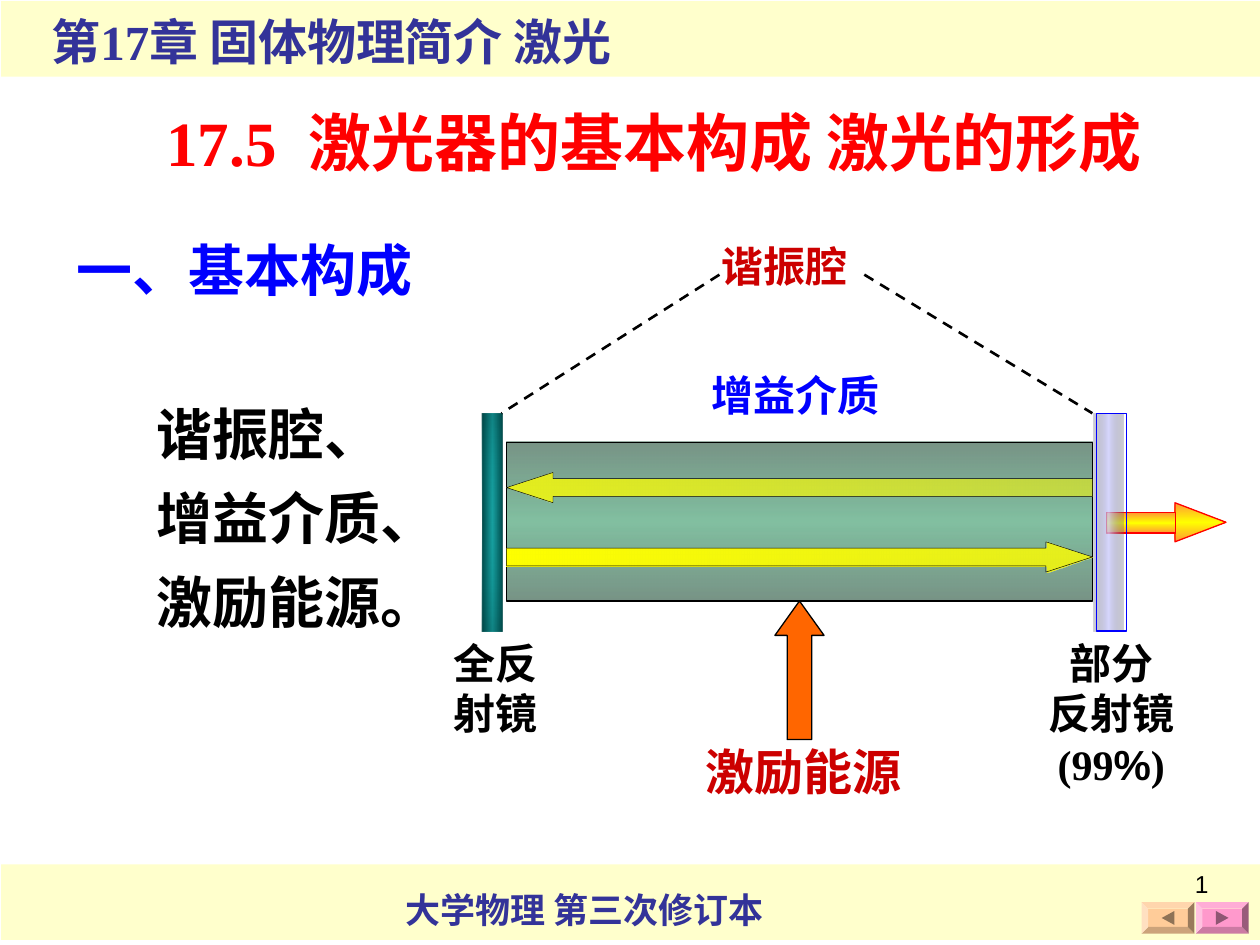
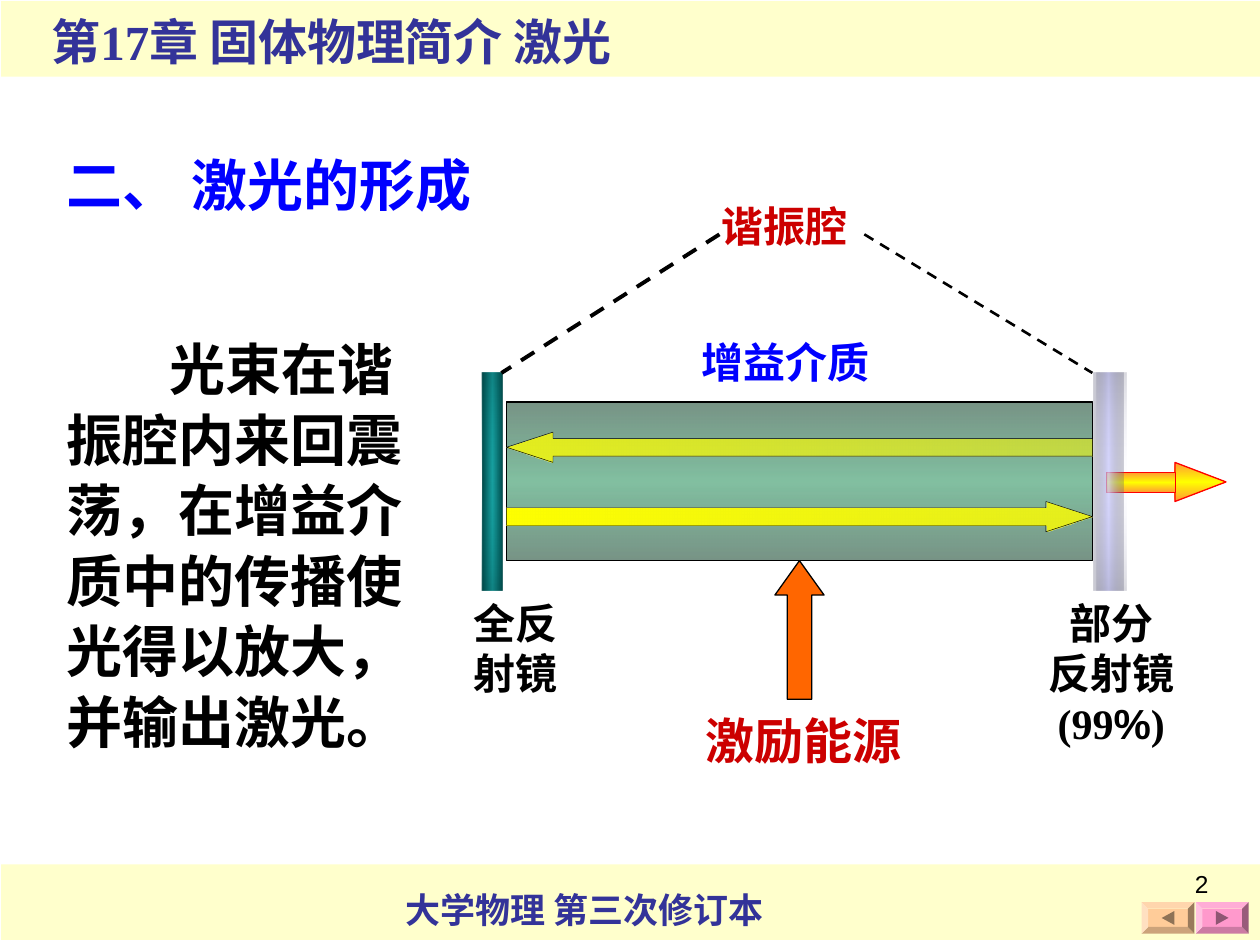
from lxml.etree import SubElement
from pptx import Presentation
from pptx.dml.color import RGBColor
from pptx.enum.dml import MSO_LINE
from pptx.enum.shapes import MSO_CONNECTOR, MSO_SHAPE as SHAPE
from pptx.enum.text import MSO_ANCHOR as ANCHOR, PP_ALIGN as ALIGN
from pptx.oxml import parse_xml
from pptx.oxml.ns import nsdecls, qn
from pptx.util import Inches, Pt

# ---------- Content ----------
COLORS = {
    "band": "FFFFCC", "course": "333399", "section": "FF0000", "heading": "0000FF",
    "body": "000000", "key": "CC0000", "pump": "FF6600", "outline": "000000",
    "output": "FF0000", "pane": "0000FF",
    "back": "FFCC99", "back mark": "8F7356", "next": "FF99CC", "next mark": "8F5673",
}
LATIN, CJK, SANS = "Times New Roman", "Noto Sans CJK SC", "Arial"

CHAPTER = "第17章 固体物理简介 激光"
BOOK = "大学物理 第三次修订本"
SECTION = [("17.5", {}), (" ", {"spacing": 9}), ("激光器的基本构成 激光的形成", {})]
PARTS_HEADING = "一、基本构成"
PARTS = ["谐振腔、", "增益介质、", "激励能源。"]
FORMING_HEADING = "二、 激光的形成"
FORMING = "光束在谐振腔内来回震荡，在增益介质中的传播使光得以放大，并输出激光。"
PARTIAL_MIRROR = ["部分\v反射镜", [("(99", {}), ("%", {"name": SANS}), (")", {})]]

# Gradients: angle, then (position, colour, opacity) in percent
GRADIENTS = {
    "mirror": (180, [(0, "004646", 100), (50, "009999", 90), (100, "004646", 100)]),
    "mirror front": (90, [(0, "004646", 32), (50, "009999", 0), (100, "004646", 32)]),
    "medium": (90, [(0, "17462F", 58), (50, "339966", 61), (100, "17462F", 58)]),
    "output": (90, [(0, "FF9933", 100), (50, "FFFF00", 100), (100, "FF9933", 100)]),
    "partial": (180, [(0, "5E5E75", 30), (50, "CCCCFF", 78), (100, "5E5E75", 30)]),
    "partial front": (90, [(0, "5E5E75", 23), (50, "CCCCFF", 0), (100, "5E5E75", 23)]),
    "beam left": (180, [(0, "FFFF00", 52), (100, "FFFF00", 80)]),
    "beam right": (0, [(0, "FFFF00", 80), (100, "FFFF00", 100)]),
}

# Laser parts, tops measured from the top of the mirrors
MIRROR_HEIGHT = 1.73
MEDIUM_LEFT, MEDIUM_WIDTH = 4.02, 4.65
BEAM = {"adjust": (0.584, 1.537), "line": ("outline", 0.25)}
LASER = [
    (SHAPE.RECTANGLE, (3.83, 0, 0.16, MIRROR_HEIGHT), "mirror", {}),
    (SHAPE.UP_ARROW, (6.15, 1.49, 0.39, 1.1), "pump",
     {"adjust": (0.5, 0.7), "line": ("outline", 0.75)}),
    (SHAPE.RECTANGLE, (MEDIUM_LEFT, 0.23, MEDIUM_WIDTH, 1.26), "medium",
     {"line": ("outline", 0.75)}),
    (SHAPE.RIGHT_ARROW, (9.32, 0.71, 0.41, 0.31), "output",
     {"adjust": (0.198, 1.305), "line": ("output", 0.75)}),
    (SHAPE.RECTANGLE, (8.78, 0.79, 0.55, 0.16), "output", {"line": ("output", 0.75)}),
    (SHAPE.RECTANGLE, (8.68, 0, 0.24, MIRROR_HEIGHT), "partial", {}),
    (SHAPE.LEFT_ARROW, (MEDIUM_LEFT, 0.47, MEDIUM_WIDTH, 0.24), "beam left", BEAM),
    (SHAPE.LEFT_ARROW, (MEDIUM_LEFT, 1.02, MEDIUM_WIDTH, 0.24), "beam right",
     {**BEAM, "rotation": 180}),
    (SHAPE.RECTANGLE, (3.82, 0, 0.16, MIRROR_HEIGHT), "mirror front", {}),
]
CAVITY_LINES = [(5.71, 3.98), (6.86, 8.67)]
CAVITY_RISE = 1.1

BODY = {"size": 32, "color": "body"}
HEADING = {"size": 32, "color": "heading"}
LABEL = {"size": 24, "color": "body"}


# ---------- Helpers ----------
def rgb(name):
    return RGBColor.from_string(COLORS[name])


def place(item, box):
    for side, value in zip(("left", "top", "width", "height"), box):
        setattr(item, side, Inches(value))


def write(item, paragraphs, size, color, name=LATIN, bold=True, wrap=True,
          anchor=ANCHOR.TOP, top_inset=0.05, **paragraph_format):
    """Fill a text frame; a paragraph is a string or a list of (text, changes)."""
    frame = item.text_frame
    frame_format = {"word_wrap": wrap, "vertical_anchor": anchor,
                    "margin_left": Inches(0.1), "margin_right": Inches(0.1),
                    "margin_top": Inches(top_inset), "margin_bottom": Inches(0.05)}
    for key, value in frame_format.items():
        setattr(frame, key, value)
    for index, content in enumerate(paragraphs):
        paragraph = frame.add_paragraph() if index else frame.paragraphs[0]
        for key, value in paragraph_format.items():
            setattr(paragraph, key, value)
        for text, changes in [(content, {})] if isinstance(content, str) else content:
            for number, line in enumerate(text.split("\v")):
                if number:
                    paragraph.add_line_break()
                run = paragraph.add_run()
                run.text = line
                font_format = {"size": Pt(size), "bold": bold,
                               "name": changes.get("name", name)}
                for key, value in font_format.items():
                    setattr(run.font, key, value)
                run.font.color.rgb = rgb(color)
                properties = run._r.get_or_add_rPr()
                SubElement(properties, qn("a:ea"), typeface=CJK)
                if "spacing" in changes:
                    properties.set("spc", str(changes["spacing"] * 100))
    return frame


def add_text(slide, box, paragraphs, **style):
    return write(slide.shapes.add_textbox(*map(Inches, box)), paragraphs, **style)


def set_title(slide, box, paragraphs, **style):
    title = slide.shapes.title
    place(title, box)
    write(title, paragraphs, **style)


def fill_gradient(shape, name):
    angle, stops = GRADIENTS[name]
    stop_xml = "".join(
        f'<a:gs pos="{position * 1000}"><a:srgbClr val="{color}">'
        f'<a:alpha val="{opacity * 1000}"/></a:srgbClr></a:gs>'
        for position, color, opacity in stops)
    gradient = parse_xml(
        f'<a:gradFill {nsdecls("a")} rotWithShape="1"><a:gsLst>{stop_xml}</a:gsLst>'
        f'<a:lin ang="{angle * 60000}" scaled="1"/></a:gradFill>')
    shape.fill.background()
    properties = shape._element.spPr
    properties.replace(properties.find(qn("a:noFill")), gradient)


def add_part(slide, kind, box, fill=None, adjust=(), line=None, rotation=0):
    shape = slide.shapes.add_shape(kind, *map(Inches, box))
    shape.shadow.inherit = False
    shape.rotation = rotation
    for index, value in enumerate(adjust):
        shape.adjustments[index] = value
    if fill is None:
        shape.fill.background()
    elif fill in GRADIENTS and not (fill in COLORS and kind == SHAPE.BEVEL):
        fill_gradient(shape, fill)
    else:
        shape.fill.solid()
        shape.fill.fore_color.rgb = rgb(fill)
    if line:
        shape.line.color.rgb = rgb(line[0])
        shape.line.width = Pt(line[1])
    else:
        shape.line.fill.background()


def add_dashes(slide, start, end, width):
    line = slide.shapes.add_connector(MSO_CONNECTOR.STRAIGHT, *map(Inches, start + end))
    line.line.color.rgb = rgb("outline")
    line.line.width = Pt(width)
    line.line.dash_style = MSO_LINE.DASH
    SubElement(line._element.spPr, qn("a:effectLst"))


# ---------- Shared frame ----------
def add_page_frame(slide):
    for top in (6.86, 0.01):
        add_part(slide, SHAPE.RECTANGLE, (0.01, top, 9.99, 0.6), "band")
    add_text(slide, (3.12, 7, 3.12, 0.44), [BOOK], size=20, color="course", wrap=False)
    add_text(slide, (0.31, 0.04, 5.04, 0.57), [CHAPTER], size=28, color="course",
             wrap=False)
    # Page buttons
    for left, color, turn in ((9.49, "next", 90), (9.06, "back", -90)):
        add_part(slide, SHAPE.BEVEL, (left, 7.16, 0.42, 0.25), color, adjust=(0.21,))
        add_part(slide, SHAPE.ISOSCELES_TRIANGLE, (left + 0.155, 7.235, 0.11, 0.1),
                 color + " mark", rotation=turn)


def add_page_number(slide, number):
    frame = add_text(slide, (7.36, 6.85, 2.33, 0.52), [str(number)], size=14,
                     color="body", name=SANS, bold=False, alignment=ALIGN.RIGHT)
    paragraph = frame.paragraphs[0]
    run = paragraph.runs[0]._r
    field = SubElement(paragraph._p, qn("a:fld"), type="slidenum",
                       id="{B6F15528-21DE-4FAA-801E-634DDDAF4B2B}")
    field.extend(list(run))
    paragraph._p.remove(run)


# ---------- Laser diagram ----------
def add_laser(slide, top, medium_label, pump_label_top, mirror_label_left,
              left_dash, pane):
    for kind, (left, offset, width, height), fill, style in LASER:
        add_part(slide, kind, (left, top + offset, width, height), fill, **style)
    add_part(slide, SHAPE.RECTANGLE, (8.7, top, 0.24, MIRROR_HEIGHT), **pane)
    for (start, end), width in zip(CAVITY_LINES, (left_dash, 1.5)):
        add_dashes(slide, (start, top - CAVITY_RISE), (end, top), width)
    # Labels
    below = top + MIRROR_HEIGHT
    add_text(slide, (5, pump_label_top, 2.76, 0.63), ["激励能源"], size=28, color="key",
             wrap=False, anchor=ANCHOR.MIDDLE, alignment=ALIGN.CENTER)
    add_text(slide, medium_label + (1.89, 0.5), ["增益介质"], size=24, color="heading")
    add_text(slide, (5.63, top - 1.42, 1.5, 0.5), ["谐振腔"], size=24, color="key")
    add_text(slide, (mirror_label_left, below, 1.03, 0.9), ["全反射镜"], **LABEL)
    add_text(slide, (8.17, below, 1.3, 1.3), PARTIAL_MIRROR, alignment=ALIGN.CENTER,
             **LABEL)


# ---------- Slides ----------
def fill_parts_slide(slide):
    set_title(slide, (0.9, 0.77, 8.58, 0.7), [SECTION], size=36, color="section",
              alignment=ALIGN.CENTER)
    add_text(slide, (0.51, 1.7, 3.23, 0.78), [PARTS_HEADING], top_inset=0.17, **HEADING)
    add_text(slide, (1.14, 2.99, 2.91, 2.1), PARTS, line_spacing=1.25, **BODY)
    add_laser(slide, 3.28, medium_label=(5.55, 2.88), pump_label_top=5.8,
              mirror_label_left=3.5, left_dash=1.5, pane={"line": ("pane", 0.75)})


def fill_forming_slide(slide):
    set_title(slide, (0.43, 1.01, 4.8, 0.77), [FORMING_HEADING], line_spacing=1.25,
              alignment=ALIGN.LEFT, **HEADING)
    add_laser(slide, 2.96, medium_label=(5.47, 2.62), pump_label_top=5.56,
              mirror_label_left=3.66, left_dash=2.25, pane={"fill": "partial front"})
    frame = add_text(slide, (0.43, 2.58, 2.91, 3.46), [FORMING], line_spacing=1.05,
                     **BODY)
    first_line = frame.paragraphs[0]._p.get_or_add_pPr()
    first_line.set("indent", str(Inches(0.82)))


def main():
    deck = Presentation()
    deck.slide_width, deck.slide_height = Inches(10), Inches(7.5)
    title_only = deck.slide_layouts[5]
    for number, fill_slide in enumerate((fill_parts_slide, fill_forming_slide), 1):
        slide = deck.slides.add_slide(title_only)
        add_page_frame(slide)
        fill_slide(slide)
        add_page_number(slide, number)
    deck.save("out.pptx")


if __name__ == "__main__":
    main()
